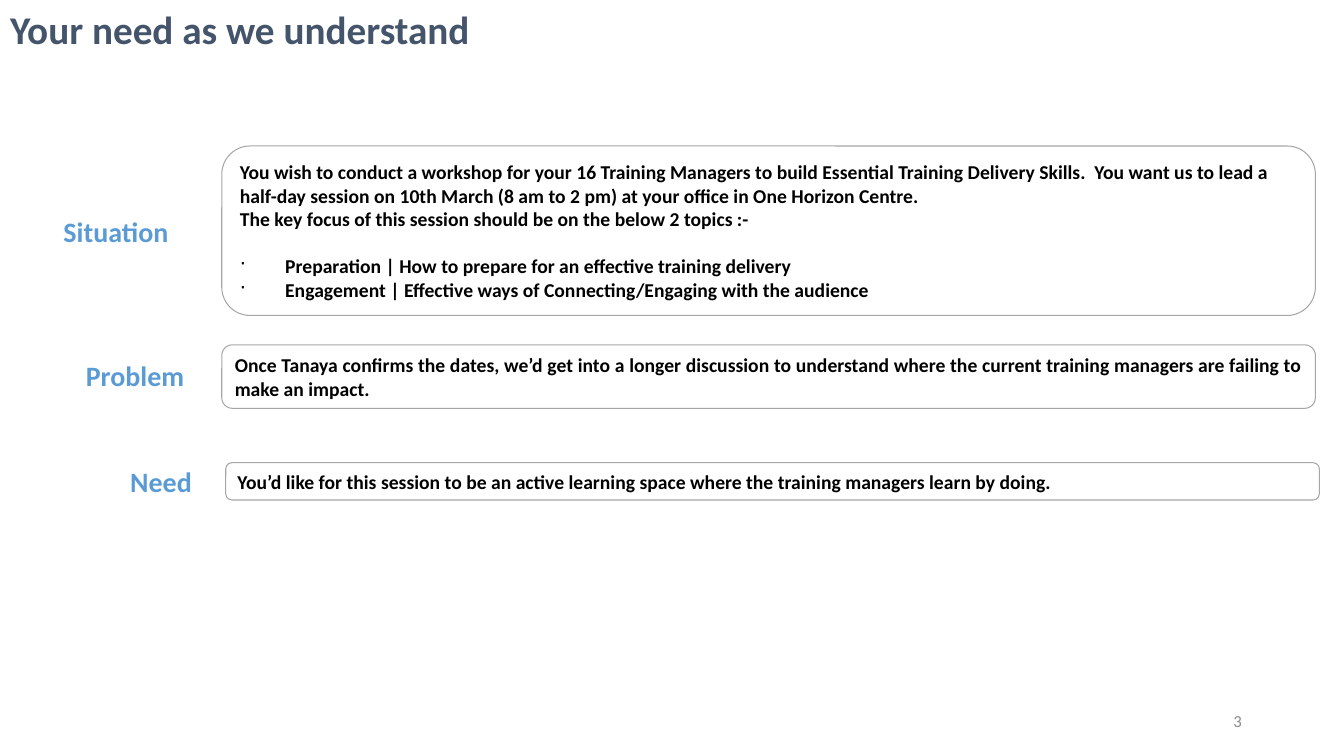
from lxml import etree
from pptx import Presentation
from pptx.dml.color import RGBColor
from pptx.enum.shapes import MSO_SHAPE
from pptx.enum.text import MSO_ANCHOR, MSO_AUTO_SIZE, PP_ALIGN
from pptx.oxml.ns import qn
from pptx.util import Cm, Pt

ROUNDED = MSO_SHAPE.ROUNDED_RECTANGLE
TOP, MIDDLE = MSO_ANCHOR.TOP, MSO_ANCHOR.MIDDLE
LEFT, CENTER, RIGHT, JUSTIFY = PP_ALIGN.LEFT, PP_ALIGN.CENTER, PP_ALIGN.RIGHT, PP_ALIGN.JUSTIFY
NO_AUTOSIZE = MSO_AUTO_SIZE.NONE

WHITE = RGBColor(0xFF, 0xFF, 0xFF)
BLACK = RGBColor(0x00, 0x00, 0x00)
SLATE = RGBColor(0x44, 0x54, 0x6A)
BLUE = RGBColor(0x5B, 0x9B, 0xD5)
BORDER = RGBColor(0xA6, 0xA6, 0xA6)
GREY = RGBColor(0x8C, 0x8C, 0x8C)

SITUATION = [
    "You wish to conduct a workshop for your 16 Training Managers to build Essential "
    "Training Delivery Skills.  You want us to lead a half-day session on 10th March "
    "(8 am to 2 pm) at your office in One Horizon Centre.",
    "The key focus of this session should be on the below 2 topics :-",
]
TOPICS = [
    "Preparation | How to prepare for an effective training delivery",
    "Engagement | Effective ways of Connecting/Engaging with the audience",
]
PROBLEM = [
    "Once Tanaya confirms the dates, we’d get into a longer discussion to understand "
    "where the current training managers are failing to make an impact."
]
NEED = [
    "You’d like for this session to be an active learning space where the training "
    "managers learn by doing."
]


class SlideBuilder:
    """Hold the text style and the slide, and add each kind of element."""

    def __init__(self, s, font="Calibri"):
        self.s = s
        self.font = font

    def set_text(self, tf, lines, size, color, bold=True, align=LEFT, anchor=TOP):
        tf.text = "\n".join(lines)
        tf.word_wrap = True
        tf.auto_size = NO_AUTOSIZE
        tf.vertical_anchor = anchor
        for p in tf.paragraphs:
            p.alignment = align
            for r in p.runs:
                r.font.name = self.font
                r.font.size = Pt(size)
                r.font.bold = bold
                r.font.color.rgb = color

    def title(self, text, left, top, width, height):
        sp = self.s.shapes.title
        sp.left, sp.top, sp.width, sp.height = Cm(left), Cm(top), Cm(width), Cm(height)
        self.set_text(sp.text_frame, [text], 28, SLATE)

    def box(self, left, top, width, height, line):
        sp = self.s.shapes.add_shape(ROUNDED, Cm(left), Cm(top), Cm(width), Cm(height))
        sp.shadow.inherit = False
        sp.fill.solid()
        sp.fill.fore_color.rgb = WHITE
        sp.line.color.rgb = line
        sp.line.width = Pt(0.75)
        return sp.text_frame

    def label(self, text, left, top, width):
        tf = self.box(left, top, width, 1.22, WHITE)
        self.set_text(tf, [text], 20, BLUE, align=CENTER)

    def panel(self, lines, left, top, height, align=JUSTIFY, bullets=()):
        tf = self.box(left, top, 27.56, height, BORDER)
        self.set_text(tf, [*lines, *bullets], 14, BLACK, align=align, anchor=MIDDLE)
        for i, p in enumerate(tf.paragraphs[len(lines):]):
            pPr = p._p.get_or_add_pPr()
            pPr.set("marL", str(Cm(1.14)))
            pPr.set("indent", str(-Cm(1.14)))
            etree.SubElement(pPr, qn("a:buChar")).set("char", "·")
            p.space_before = Pt(0 if i else 17)

    def page_number(self, text, left, top, width, height):
        sp = self.s.shapes.add_textbox(Cm(left), Cm(top), Cm(width), Cm(height))
        self.set_text(sp.text_frame, [text], 12, GREY, bold=False, align=RIGHT, anchor=MIDDLE)


def main():
    prs = Presentation()
    prs.slide_width, prs.slide_height = Cm(33.87), Cm(19.05)
    slide = SlideBuilder(prs.slides.add_slide(prs.slide_layouts[5]))
    slide.title("Your need as we understand", 0, 0, 14.96, 1.45)
    slide.label("Situation", 0.79, 5.21, 4.27)
    slide.panel(SITUATION, 5.59, 3.68, 4.27, align=LEFT, bullets=TOPICS)
    slide.label("Problem", 1.12, 8.86, 4.57)
    slide.panel(PROBLEM, 5.59, 8.69, 1.6)
    slide.label("Need", 2.03, 11.53, 4.06)
    slide.panel(NEED, 5.69, 11.66, 0.94)
    slide.page_number("3", 23.93, 17.65, 7.62, 1.02)
    prs.save("out.pptx")


if __name__ == "__main__":
    main()
